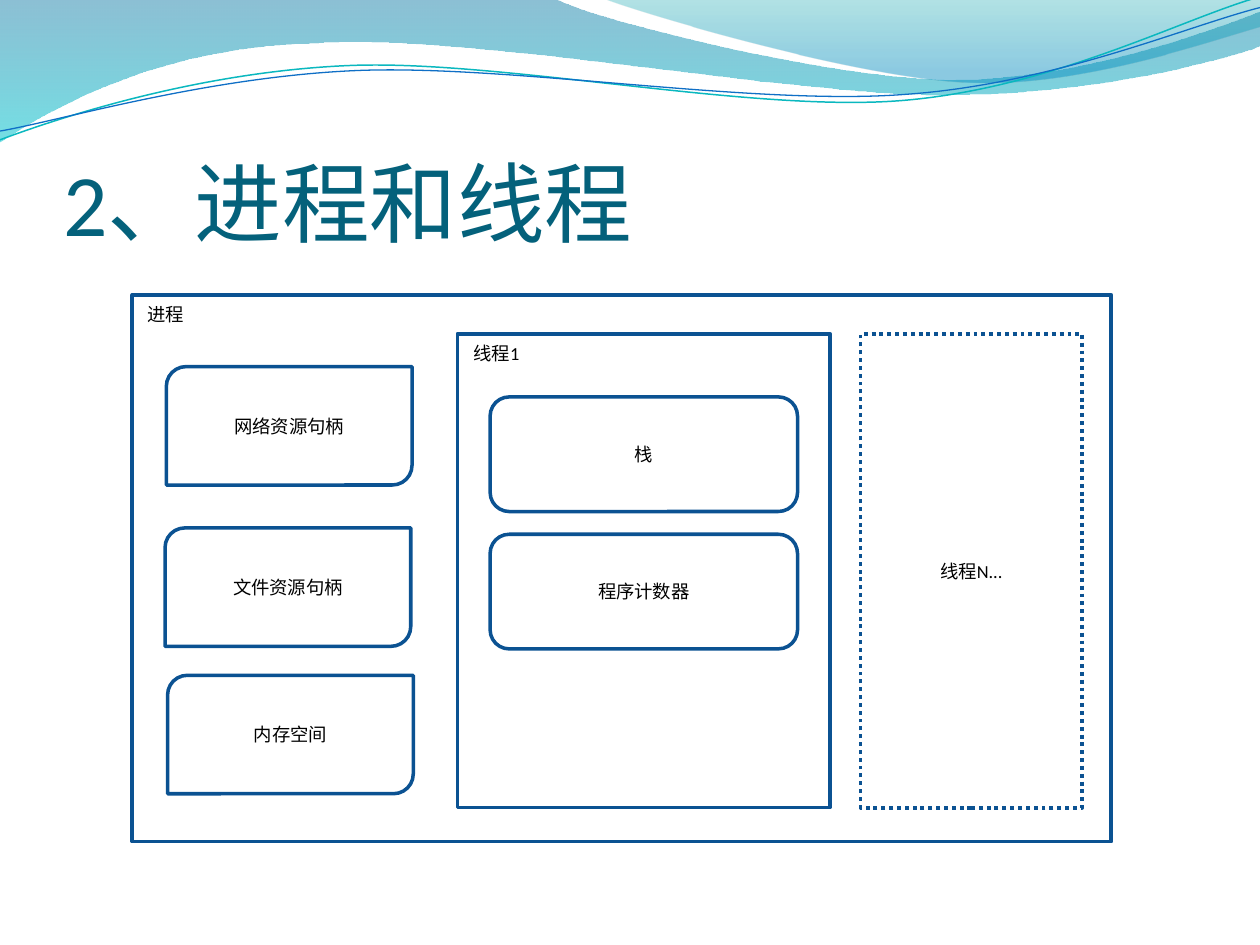
from math import cos, radians, sin

from pptx import Presentation
from pptx.dml.color import RGBColor
from pptx.enum.dml import MSO_LINE
from pptx.enum.shapes import MSO_SHAPE
from pptx.enum.text import MSO_ANCHOR, MSO_AUTO_SIZE, PP_ALIGN
from pptx.oxml.ns import qn
from pptx.util import Inches, Pt
from lxml import etree

RECT, ROUND = MSO_SHAPE.RECTANGLE, MSO_SHAPE.ROUNDED_RECTANGLE
DIAGONAL = MSO_SHAPE.ROUND_2_DIAG_RECTANGLE
TOP, MIDDLE, BOTTOM = MSO_ANCHOR.TOP, MSO_ANCHOR.MIDDLE, MSO_ANCHOR.BOTTOM
LEFT, CENTER, JUSTIFY = PP_ALIGN.LEFT, PP_ALIGN.CENTER, PP_ALIGN.JUSTIFY
DOTTED = MSO_LINE.ROUND_DOT

THEME = {
    "font": "Calibri", "title_size": 50, "label_size": 10.5,
    "title": "04617B", "text": "000000", "outline": "0B5292", "paper": "FFFFFF",
}

prs = Presentation()
prs.slide_width, prs.slide_height = Inches(10), Inches(7.5)
CELL = prs.slide_width / 100  # grid of 100 columns by 75 rows
s = prs.slides.add_slide(prs.slide_layouts[5])


def write(sp, text, size, color, align, anchor):
    tf = sp.text_frame
    tf.word_wrap = True
    tf.vertical_anchor = anchor
    p = tf.paragraphs[0]
    p.alignment = align
    r = p.add_run()
    r.text = text
    r.font.name, r.font.size = THEME["font"], Pt(size)
    r.font.color.rgb = RGBColor.from_string(color)


def add_wave(shapes, segments, closed, tilt=0, center=(0, 0)):
    """Draw points (2 numbers) and Bezier segments (6 numbers) given in grid cells."""
    (cx, cy), c, d = center, cos(radians(tilt)), sin(radians(tilt))
    points = [seg[i:i + 2] for seg in segments for i in range(0, len(seg), 2)]
    emu = [(round((cx + (x - cx) * c + (y - cy) * d) * CELL),
            round((cy - (x - cx) * d + (y - cy) * c) * CELL)) for x, y in points]
    builder = shapes.build_freeform(*emu[0], scale=1.0)
    builder.add_line_segments(emu[1:], close=closed)
    sp = builder.convert_to_shape()
    sp.shadow.inherit = False
    sp.rotation = tilt % 360
    lines = iter(list(sp.element.spPr.iter(qn("a:lnTo"))))
    for seg in segments[1:]:
        first = next(lines)
        if len(seg) == 6:
            first.tag = qn("a:cubicBezTo")
            for extra in (next(lines), next(lines)):
                first.append(extra[0])
                extra.getparent().remove(extra)
    return sp


# Header bands: outline, then (position, colour, opacity in percent) for each stop
bands = [
    ([(0, 0), (44, -0.1), (47.6, 1.7, 66.4, 6.3, 75.8, 6.3), (85.3, 6.3, 95.8, 2.6, 100, 0.9),
      (100.1, 3.6), (98.3, 4.4, 87, 7.6, 74.6, 7.5), (62.2, 7.5, 38.2, 2.8, 25.7, 3.4),
      (12.9, 3.6, 4.6, 8.3, -0.1, 11.3), (0, 0)],
     [(0, "0074A1", 45), (1, "00C6CF", 55)]),
    ([(47.9, -0.1), (50.9, 1.1, 68.2, 6.2, 76.9, 6.5), (85.6, 6.9, 96.1, 3.2, 100, 2.1),
      (100, 0), (47.9, -0.1)],
     [(0, "00A1A9", 30), (0.8, "008BBF", 45)]),
]
for outline, stops in bands:
    sp = add_wave(s.shapes, outline, True)
    sp.line.fill.background()
    sp.fill.gradient()
    sp.fill.gradient_angle = 270
    for stop, (position, color, opacity) in zip(sp.fill.gradient_stops, stops):
        stop.position = position
        stop.color.rgb = RGBColor.from_string(color)
    for clr, (_, _, opacity) in zip(sp.element.spPr.iter(qn("a:srgbClr")), stops):
        etree.SubElement(clr, qn("a:alpha")).set("val", str(opacity * 1000))

# Header threads: curve, centre of the tilt, colour, width
threads = [
    ([(0, 11.1), (4.8, 9.3, 15.8, 5.7, 27.7, 5.2), (39.5, 4.7, 59.3, 8.9, 71.3, 8),
      (83.3, 7.1, 93.8, 1.5, 99.8, -0.2)], (49.9, 5.75), "0AB8BF", 0.85),
    ([(0, 10.4), (4.7, 9.6, 16.4, 6.1, 28.3, 5.6), (40.3, 5.1, 59.7, 8.4, 71.7, 7.5),
      (83.6, 6.7, 94.1, 2.1, 100, 0.6)], (49.95, 5.9), "0F6FC6", 0.75),
]
thread_group = s.shapes.add_group_shape()
for curve, center, color, width in threads:
    sp = add_wave(thread_group.shapes, curve, False, -2.7, center)
    sp.fill.background()
    sp.line.color.rgb = RGBColor.from_string(color)
    sp.line.width = Pt(width)

title = s.shapes.title
title.element.getparent().append(title.element)  # in front of the header
title.left, title.top, title.width, title.height = [round(v * CELL) for v in (5, 7.7, 90, 12.5)]
tf = title.text_frame
tf.auto_size = MSO_AUTO_SIZE.NONE
tf.margin_left = tf.margin_right = tf.margin_bottom = 0
tf.margin_top = Inches(0.05)
write(title, "2、进程和线程", THEME["title_size"], THEME["title"], LEFT, BOTTOM)

# Diagram: kind, left, top, width, height in cells, text, line width (0: white caption)
resource, part = (19.5, 9.4), (24.4, 9.1)
boxes = [
    (RECT, 10.5, 23.4, 77.7, 43.4, "", 2),
    (RECT, 10.7, 23.6, 9, 4.2, "进程", 0),
    (DIAGONAL, 13.3, 53.6, *resource, "内存空间", 2),
    (DIAGONAL, 13.2, 29.1, *resource, "网络资源句柄", 2),
    (DIAGONAL, 13.1, 41.9, *resource, "文件资源句柄", 2),
    (RECT, 36.3, 26.5, 29.6, 37.6, "", 2),
    (RECT, 68.3, 26.5, 17.6, 37.6, "线程N...", 2.25),
    (RECT, 36.6, 26.7, 11.1, 4.2, "线程1", 0),
    (ROUND, 38.9, 42.4, *part, "程序计数器", 2),
    (ROUND, 38.9, 31.5, *part, "栈", 2),
]
diagram = s.shapes.add_group_shape()
for kind, left, top, width, height, text, line in boxes:
    sp = diagram.shapes.add_shape(kind, *[round(v * CELL) for v in (left, top, width, height)])
    sp.shadow.inherit = False
    if line:
        sp.fill.background()
        sp.line.color.rgb = RGBColor.from_string(THEME["outline"])
        sp.line.width = Pt(line)
    else:
        sp.fill.solid()
        sp.fill.fore_color.rgb = RGBColor.from_string(THEME["paper"])
        sp.line.fill.background()
    if line > 2:
        sp.line.dash_style = DOTTED
    if text:
        align, anchor = (CENTER, MIDDLE) if line else (JUSTIFY, TOP)
        write(sp, text, THEME["label_size"], THEME["text"], align, anchor)

prs.save("out.pptx")
